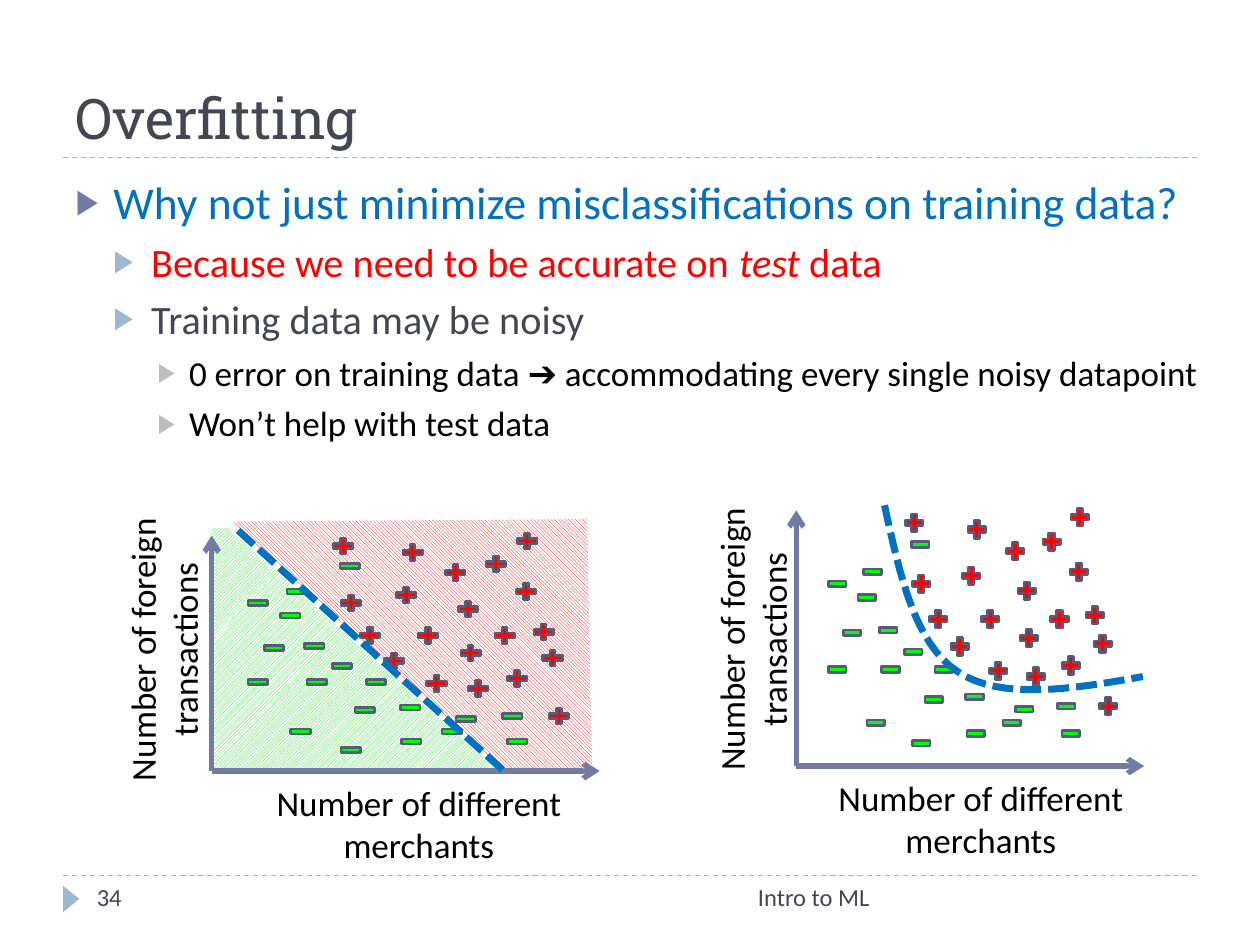
from dataclasses import dataclass

from lxml.etree import SubElement
from pptx import Presentation
from pptx.dml.color import RGBColor
from pptx.enum.dml import MSO_LINE, MSO_PATTERN
from pptx.enum.shapes import MSO_CONNECTOR, MSO_SHAPE
from pptx.enum.text import MSO_ANCHOR, MSO_AUTO_SIZE, PP_ALIGN
from pptx.oxml.ns import qn
from pptx.util import Inches, Pt


@dataclass(frozen=True)
class Theme:
    heading_font: str = "Roboto Slab"
    font: str = "Calibri"
    text: str = "464653"
    black: str = "000000"
    white: str = "FFFFFF"
    blue: str = "0070C0"
    red: str = "FF0000"
    green: str = "00FF00"
    axis: str = "727CA3"
    outline: str = "545C79"
    accent: str = "9FB8CD"
    bullets: tuple = ("727CA3", "9FB8CD", "BDBDBD")
    title_size: int = 32
    body_sizes: tuple = (26, 23, 20)
    label_size: int = 20
    footer_size: int = 14


theme = Theme()


def add_line(shapes, start, end, color, width, dash=None, arrow=False):
    connector = shapes.add_connector(
        MSO_CONNECTOR.STRAIGHT, *[Inches(value) for value in (*start, *end)])
    connector.line.color.rgb = RGBColor.from_string(color)
    connector.line.width = Pt(width)
    if dash:
        connector.line.dash_style = dash
    if arrow:
        SubElement(connector.get_or_add_ln(), qn("a:tailEnd"), type="arrow")
    SubElement(connector.element.spPr, qn("a:effectLst"))


def add_label(shapes, text, box, size, color, alignment, grow=False, rotation=0):
    label = shapes.add_textbox(*[Inches(value) for value in box])
    label.rotation = rotation
    text_frame = label.text_frame
    text_frame.text = text
    text_frame.word_wrap = True
    if grow:
        text_frame.auto_size = MSO_AUTO_SIZE.SHAPE_TO_FIT_TEXT
    paragraph = text_frame.paragraphs[0]
    paragraph.alignment = alignment
    font = paragraph.runs[0].font
    font.name, font.size = theme.font, Pt(size)
    font.color.rgb = RGBColor.from_string(color)


presentation = Presentation()
presentation.slide_width, presentation.slide_height = Inches(10), Inches(7.5)
slide = presentation.slides.add_slide(presentation.slide_layouts[1])
title, body = slide.placeholders

# Rules and footer
for y in (6.95, 1.25):
    add_line(slide.shapes, (0.5, y), (9.5, y), theme.accent, 0.75, MSO_LINE.DASH)
marker = slide.shapes.add_shape(
    MSO_SHAPE.ISOSCELES_TRIANGLE, Inches(0.46), Inches(7.07), Inches(0.21), Inches(0.13))
marker.rotation = 90
marker.shadow.inherit = False
marker.fill.solid()
marker.fill.fore_color.rgb = RGBColor.from_string(theme.accent)
marker.line.fill.background()
add_label(slide.shapes, "Intro to ML", (3.17, 6.95, 3.83, 0.4),
          theme.footer_size, theme.text, PP_ALIGN.RIGHT)
add_label(slide.shapes, "34", (0.67, 6.95, 2.17, 0.4),
          theme.footer_size, theme.text, PP_ALIGN.LEFT)

# Title
title.left, title.top, title.width, title.height = [
    Inches(value) for value in (0.5, 0.17, 9, 1.08)]
title.text_frame.text = "Overfitting"
title.text_frame.auto_size = MSO_AUTO_SIZE.NONE
title.text_frame.vertical_anchor = MSO_ANCHOR.BOTTOM
paragraph = title.text_frame.paragraphs[0]
paragraph.alignment = PP_ALIGN.LEFT
font = paragraph.runs[0].font
font.name, font.size = theme.heading_font, Pt(theme.title_size)
font.color.rgb = RGBColor.from_string(theme.text)

# Bulleted list: level, color, runs (every second run is italic)
bullet_lines = [
    (0, theme.blue, ["Why not just minimize misclassifications on training data?"]),
    (1, theme.red, ["Because we need to be accurate on ", "test", " data"]),
    (1, theme.text, ["Training data may be noisy"]),
    (2, theme.black,
     ["0 error on training data ➔ accommodating every single noisy datapoint"]),
    (2, theme.black, ["Won’t help with test data"]),
]
body.left, body.top, body.width, body.height = [
    Inches(value) for value in (0.5, 1.33, 9.33, 5.4)]
text_frame = body.text_frame
text_frame.auto_size = MSO_AUTO_SIZE.NONE
for index, (level, color, parts) in enumerate(bullet_lines):
    paragraph = text_frame.add_paragraph() if index else text_frame.paragraphs[0]
    paragraph.level = level
    paragraph.space_before = Pt((6, 5, 5)[level])
    for part_index, part in enumerate(parts):
        run = paragraph.add_run()
        run.text = part
        run.font.name, run.font.size = theme.font, Pt(theme.body_sizes[level])
        run.font.italic = part_index % 2 == 1
        run.font.color.rgb = RGBColor.from_string(color)
    properties = paragraph._p.get_or_add_pPr()
    properties.set("marL", str(Inches(0.3 * (level + 1))))
    properties.set("indent", str(Inches((-0.3, -0.3, -0.25)[level])))
    bullet_color = SubElement(properties, qn("a:buClr"))
    SubElement(bullet_color, qn("a:srgbClr"), val=theme.bullets[level])
    SubElement(properties, qn("a:buSzPct"), val="76000")
    SubElement(properties, qn("a:buChar"), char="▶")

# Data points, shared by both plots, in the left plot's inches
pluses = [
    (3.51, 4.46), (2.83, 4.96), (4, 5.3), (4.28, 5.14), (2.68, 4.7), (2.62, 4.25),
    (3.12, 4.64), (3.17, 4.3), (3.61, 4.75), (4.07, 4.61), (4.08, 4.21), (3.02, 5.16),
    (4.33, 5.6), (3.63, 5.1), (3.69, 5.38), (3.36, 5.34), (3.29, 4.96), (3.9, 4.96),
    (4.21, 4.93), (3.83, 4.39)]
minuses = [
    (2.41, 5.33), (2.61, 5.2), (3.15, 5.53), (3.48, 5.72), (2.39, 5.04), (1.94, 4.7),
    (1.94, 5.33), (2.28, 5.72), (2.79, 5.55), (2.07, 5.06), (2.67, 4.41), (2.88, 5.33),
    (3.96, 5.6), (3.59, 5.62), (2.2, 4.8), (2.25, 4.61), (3.16, 5.8), (2.68, 5.87),
    (4, 5.8)]
point_kinds = [(MSO_SHAPE.MATH_PLUS, theme.red, pluses),
               (MSO_SHAPE.MATH_MINUS, theme.green, minuses)]

# Shaded class regions of the left plot
left_group = slide.shapes.add_group_shape()
regions = [
    (MSO_PATTERN.LIGHT_UPWARD_DIAGONAL, theme.green,
     [(1.81, 4.19), (3.97, 6.13), (1.7, 6.11), (1.68, 4.19)]),
    (MSO_PATTERN.LIGHT_DOWNWARD_DIAGONAL, theme.red,
     [(1.9, 4.2), (4.01, 6.12), (4.7, 6.11), (4.66, 4.12), (1.86, 4.14)]),
]
for pattern, color, corners in regions:
    corners = [(Inches(x), Inches(y)) for x, y in corners]
    builder = left_group.shapes.build_freeform(*corners[0])
    builder.add_line_segments(corners[1:], close=True)
    region = builder.convert_to_shape()
    region.shadow.inherit = False
    region.fill.patterned()
    region.fill.pattern = pattern
    region.fill.fore_color.rgb = RGBColor.from_string(color)
    region.fill.back_color.rgb = RGBColor.from_string(theme.white)
    region.line.fill.background()

# Axes, labels and points: group, axis origin, axis ends, label boxes,
# first point position, scale, point size
right_group = slide.shapes.add_group_shape()
plots = [
    (left_group, (1.68, 6.12), 4.76, 4.25, (1.89, 6.15, 2.87, 0.23),
     (-0.15, 5.02, 2.39, 0.27), (1.94, 4.21), (1, 1), (0.21, 0.17)),
    (right_group, (6.32, 6.08), 9.08, 4.05, (6.5, 6.11, 2.57, 0.25),
     (4.41, 4.95, 2.6, 0.25), (6.55, 4.01), (0.9, 1.08), (0.19, 0.19)),
]
for group, origin, right, top, x_box, y_box, start, scale, size in plots:
    shapes = group.shapes
    for end in ((right, origin[1]), (origin[0], top)):
        add_line(shapes, origin, end, theme.axis, 3, arrow=True)
    add_label(shapes, "Number of different merchants", x_box, theme.label_size,
              theme.black, PP_ALIGN.CENTER, grow=True)
    add_label(shapes, "Number of foreign transactions", y_box, theme.label_size,
              theme.black, PP_ALIGN.CENTER, grow=True, rotation=270)
    for kind, color, points in point_kinds:
        for x, y in points:
            point = shapes.add_shape(
                kind, Inches(start[0] + (x - 1.94) * scale[0]),
                Inches(start[1] + (y - 4.21) * scale[1]), *map(Inches, size))
            point.shadow.inherit = False
            point.fill.solid()
            point.fill.fore_color.rgb = RGBColor.from_string(color)
            point.line.color.rgb = RGBColor.from_string(theme.outline)
            point.line.width = Pt(1.5)

# Decision boundaries: a straight line, and a curve sampled from two Bézier arcs
add_line(left_group.shapes, (1.89, 4.21), (4, 6.12), theme.blue, 4, MSO_LINE.SQUARE_DOT)
arcs = [((7.02, 4.01), (7.14, 4.56), (7.26, 5.11), (7.6, 5.33)),
        ((7.6, 5.33), (7.94, 5.56), (8.51, 5.47), (9.07, 5.37))]
steps = 16
curve = []
for arc in arcs:
    for t in (step / steps for step in range(1, steps + 1)):
        weights = ((1 - t) ** 3, 3 * t * (1 - t) ** 2, 3 * t * t * (1 - t), t ** 3)
        curve.append([Inches(sum(w * point[axis] for w, point in zip(weights, arc)))
                      for axis in (0, 1)])
builder = right_group.shapes.build_freeform(*map(Inches, arcs[0][0]))
builder.add_line_segments(curve, close=False)
boundary = builder.convert_to_shape()
boundary.shadow.inherit = False
boundary.fill.background()
boundary.line.color.rgb = RGBColor.from_string(theme.blue)
boundary.line.width = Pt(4)
boundary.line.dash_style = MSO_LINE.SQUARE_DOT

presentation.save("out.pptx")
